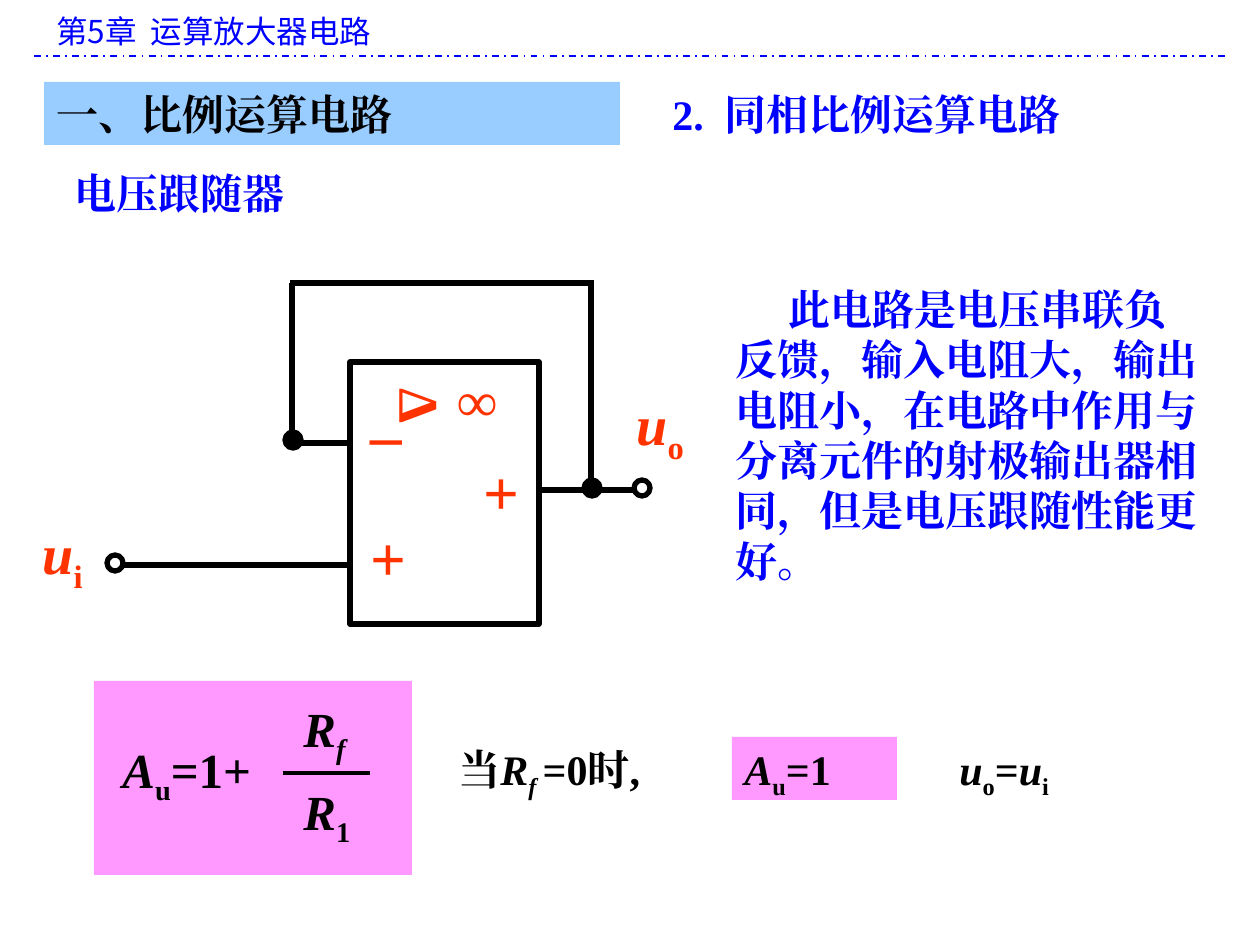
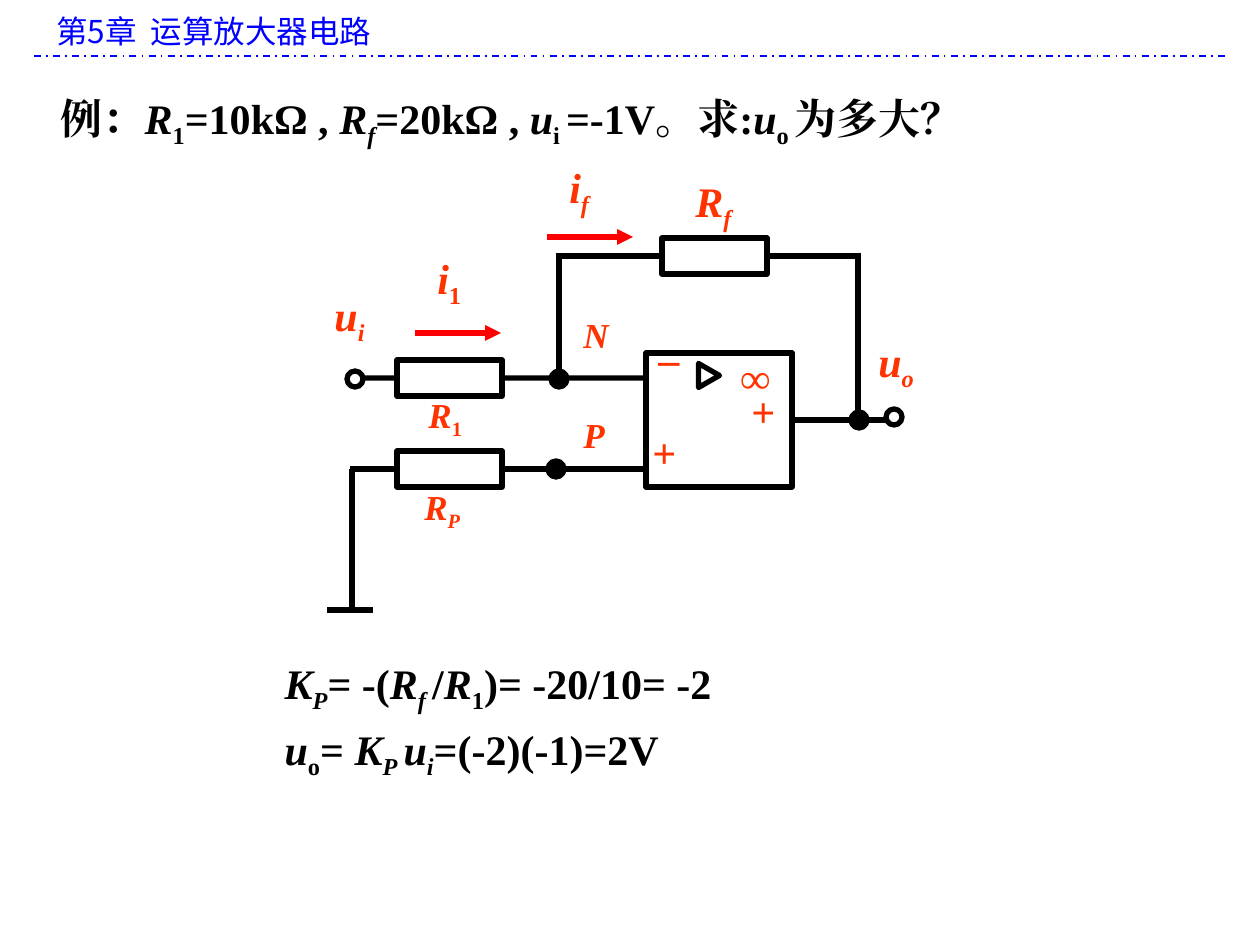
"""Builds two slides on op-amp circuits: the voltage follower and a worked inverting example."""
import pptx
import pptx.dml.color
import pptx.enum.dml
import pptx.enum.shapes
import pptx.enum.text
import pptx.oxml.ns
import pptx.util
import lxml.etree

PX = 914400 / 126
BLACK, BLUE, ORANGE, RED = "000000", "0000FF", "FF3300", "FF0000"
SKY, PINK = "99CCFF", "FF99FF"
SERIF, SANS = "Times New Roman", "Noto Sans CJK SC"
RECT = pptx.enum.shapes.MSO_SHAPE.RECTANGLE
OVAL = pptx.enum.shapes.MSO_SHAPE.OVAL
TRIANGLE = pptx.enum.shapes.MSO_SHAPE.ISOSCELES_TRIANGLE
STRAIGHT = pptx.enum.shapes.MSO_CONNECTOR.STRAIGHT
qn = pptx.oxml.ns.qn


def paint(target, color):
    """Give a fill, line fill or font fill a hex colour, or none."""
    if color is None:
        target.background()
    else:
        target.solid()
        target.fore_color.rgb = pptx.dml.color.RGBColor.from_string(color)


def write(slide, paragraphs, box, size=24, color=BLACK, font=SERIF, bold=True, fill=None,
          holder=None, wrap=True, rotation=0, indent=0, gap=0):
    """Write paragraphs of (text, style) runs; style i is italic and s is subscript."""
    place = [round(v * PX) for v in box]
    holder = holder or slide.shapes.add_textbox(*place)
    holder.left, holder.top, holder.width, holder.height = place
    holder.rotation = rotation
    paint(holder.fill, fill)
    frame = holder.text_frame
    frame.word_wrap = wrap
    frame.auto_size = pptx.enum.text.MSO_AUTO_SIZE.NONE
    frame.vertical_anchor = pptx.enum.text.MSO_ANCHOR.TOP
    for number, runs in enumerate(paragraphs):
        paragraph = frame.add_paragraph() if number else frame.paragraphs[0]
        paragraph.alignment = pptx.enum.text.PP_ALIGN.LEFT
        paragraph.space_before = pptx.util.Pt(gap if number else 0)
        properties = paragraph._p.get_or_add_pPr()
        properties.set("marL", "0")
        properties.set("indent", str(round(indent * PX)))
        lxml.etree.SubElement(properties, qn("a:buNone"))
        for text, style in runs:
            run = paragraph.add_run()
            run.text = text
            run.font.size = pptx.util.Pt(size)
            run.font.bold = bold
            run.font.italic = "i" in style
            run.font.name = font
            paint(run.font.fill, color)
            run_properties = run.font._element
            lxml.etree.SubElement(run_properties, qn("a:ea")).set("typeface", font)
            if "s" in style:
                run_properties.set("baseline", "-25000")


R1 = [("R", "i"), ("1", "s")]
RF = [("R", "i"), ("f", "is")]
RP = [("R", "i"), ("P", "is")]
KP = [("K", "i"), ("P", "is")]
AU = [("A", "i"), ("u", "s")]
UI = [("u", "i"), ("i", "s")]
UI_SLANTED = [("u", "i"), ("i", "is")]
UO = [("u", "i"), ("o", "s")]
UO_SLANTED = [("u", "i"), ("o", "is")]
SMALL_SPACE = [(" ", "s")]

deck = pptx.Presentation()
deck.slide_width, deck.slide_height = round(1260 * PX), round(945 * PX)
follower = deck.slides.add_slide(deck.slide_layouts[1])
example = deck.slides.add_slide(deck.slide_layouts[1])

write(follower, [[("一、比例运算电路", "")]], (44, 82, 576, 63), fill=SKY,
      holder=follower.shapes.title)
write(follower, [[("此电路是电压串联负反馈，输入电阻大，输出电阻小，在电路中作用与"
                   "分离元件的射极输出器相同，但是电压跟随性能更好。", "")]],
      (723, 277, 491, 315), color=BLUE, indent=53, holder=follower.placeholders[1])

question = ([("例：", "")] + R1 + [("=10kΩ , ", "")] + RF + [("=20kΩ , ", "")] + UI
            + SMALL_SPACE + [("=-1V。求:", "")] + UO + SMALL_SPACE + [("为多大？", "")])
write(example, [question], (48, 86, 1158, 63), holder=example.shapes.title)
gain = (KP + [("= -(", "")] + RF + SMALL_SPACE + [("/", "")] + R1
        + [(")= -20/10= -2", "")])
output = (UO + [("= ", "")] + KP + SMALL_SPACE + UI_SLANTED + [("=(-2)(-1)=2V", "")])
write(example, [gain, output], (272, 651, 843, 130), gap=5, holder=example.placeholders[1])

follower_circuit = {
    "blocks": [(350, 362, 189, 262)],
    "terminals": [(634, 480, None), (107, 555, None), (285, 432, BLACK), (584, 480, BLACK)],
    "wires": [(539, 490, 634, 490), (123, 565, 350, 565), (293, 443, 350, 443),
              (290, 283, 594, 283), (591, 283, 591, 490), (292, 283, 292, 443)],
    "extra_solids": [(RECT, (94, 681, 318, 194), PINK, None)],
    "extra_strokes": [((283, 773, 370, 773), BLACK, 2.25)],
}
example_circuit = {
    "blocks": [(646, 353, 146, 134), (662, 238, 105, 36), (397, 360, 105, 36),
               (397, 451, 105, 36)],
    "terminals": [(886, 409, None), (347, 371, None), (551, 371, BLACK), (851, 412, BLACK),
                  (548, 461, BLACK)],
    "wires": [(364, 378, 397, 378), (502, 378, 646, 378), (559, 378, 559, 256),
              (556, 256, 662, 256), (767, 256, 861, 256), (858, 256, 858, 420),
              (792, 420, 886, 420), (502, 469, 646, 469), (350, 469, 397, 469),
              (352, 469, 352, 610), (327, 610, 373, 610)],
    "extra_solids": [(TRIANGLE, (697, 365, 24, 21), None, BLACK)],
    "extra_strokes": [((415, 333, 501, 333), RED, 3), ((547, 237, 633, 237), RED, 3)],
}

for slide, circuit in [(follower, follower_circuit), (example, example_circuit)]:
    write(slide, [[("第5章  运算放大器电路", "")]], (44, 6, 1181, 50), size=18, color=BLUE,
          font=SANS, bold=False)

    solids = [(RECT, block, None, BLACK) for block in circuit["blocks"]]
    solids += [(OVAL, (x, y, 16, 16), fill, BLACK) for x, y, fill in circuit["terminals"]]
    sides = {}
    for kind, box, fill, outline in solids + circuit["extra_solids"]:
        part = slide.shapes.add_shape(kind, *[round(v * PX) for v in box])
        part.shadow.inherit = False
        paint(part.fill, fill)
        paint(part.line.fill, outline)
        if outline:
            part.line.width = pptx.util.Pt(3)
        if kind == TRIANGLE:
            part.rotation = 90
        if kind == RECT and outline:
            x, y, w, h = box
            middles = [(x + w / 2, y), (x, y + h / 2), (x + w / 2, y + h), (x + w, y + h / 2)]
            sides.update({middle: (part, side) for side, middle in enumerate(middles)})

    strokes = [(wire, BLACK, 3) for wire in circuit["wires"]]
    strokes.append(((34, 56, 1225, 56), BLUE, 1))
    for ends, color, width in strokes + circuit["extra_strokes"]:
        stroke = slide.shapes.add_connector(STRAIGHT, *[round(v * PX) for v in ends])
        paint(stroke.line.fill, color)
        stroke.line.width = pptx.util.Pt(width)
        if color == BLUE:
            stroke.line.dash_style = pptx.enum.dml.MSO_LINE.DASH_DOT
        if color == RED:
            head = lxml.etree.SubElement(stroke.line._get_or_add_ln(), qn("a:tailEnd"))
            head.set("type", "triangle")
        lxml.etree.SubElement(stroke._element.spPr, qn("a:effectLst"))
        if ends[:2] in sides:
            stroke.begin_connect(*sides[ends[:2]])
        if ends[2:] in sides:
            stroke.end_connect(*sides[ends[2:]])

write(follower, [[("2.  同相比例运算电路", "")]], (660, 82, 556, 63), color=BLUE)
write(follower, [[("电压跟随器", "")]], (62, 161, 410, 63), color=BLUE)

for text, box, size, rotation in [
    ("_", (358, 367, 55, 88), 36, 0),
    ("+", (358, 512, 55, 88), 36, 0),
    ("+", (471, 446, 55, 88), 36, 0),
    ("Δ", (384, 375, 76, 79), 32, 90),
    ("∞", (445, 359, 155, 79), 32, 0),
]:
    write(follower, [[(text, "")]], box, size=size, color=ORANGE, rotation=rotation)
write(follower, [UI], (30, 512, 181, 79), size=32, color=ORANGE)
write(follower, [UO], (624, 383, 113, 79), size=32, color=ORANGE)

for runs, box in [
    (AU + [("=1+", "")], (110, 733, 173, 72)),
    (RF, (291, 692, 82, 72)),
    (R1, (291, 775, 82, 72)),
]:
    write(follower, [runs], box, size=28)
for runs, left, width, fill in [
    ([("当", "")] + RF + SMALL_SPACE + [("=0时,", "")], 446, 267, None),
    (AU + [("=1", "")], 732, 165, PINK),
    (UO + [("=", "")] + UI, 947, 189, None),
]:
    write(follower, [runs], (left, 737, width, 63), fill=fill)

for runs, left, top, width, size in [
    (UO_SLANTED, 866, 329, 92, 24),
    (UI_SLANTED, 322, 283, 181, 24),
    (RF, 683, 169, 116, 24),
    ([("i", "i"), ("1", "s")], 425, 246, 76, 24),
    ([("i", "i"), ("f", "is")], 557, 155, 76, 24),
    (R1, 416, 387, 116, 20),
    (RP, 412, 479, 116, 20),
    ([("N", "i")], 571, 307, 50, 20),
    ([("P", "i")], 571, 407, 47, 20),
    ([("_", "")], 646, 312, 43, 24),
    ([("+", "")], 640, 420, 43, 24),
    ([("+", "")], 739, 379, 43, 24),
    ([("∞", "")], 728, 345, 66, 24),
]:
    write(example, [runs], (left, top, width, 63), size=size, color=ORANGE)

deck.save("out.pptx")
